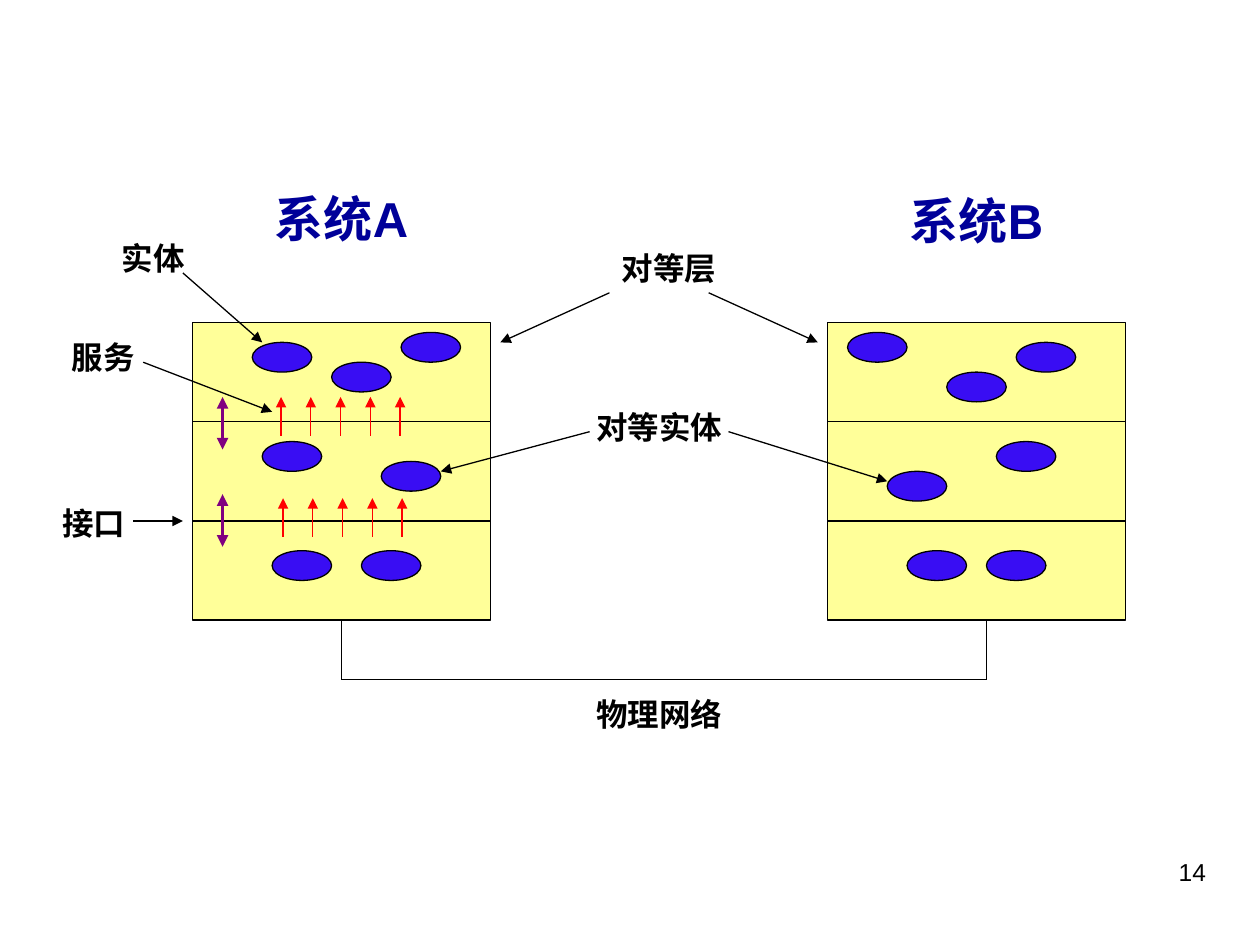
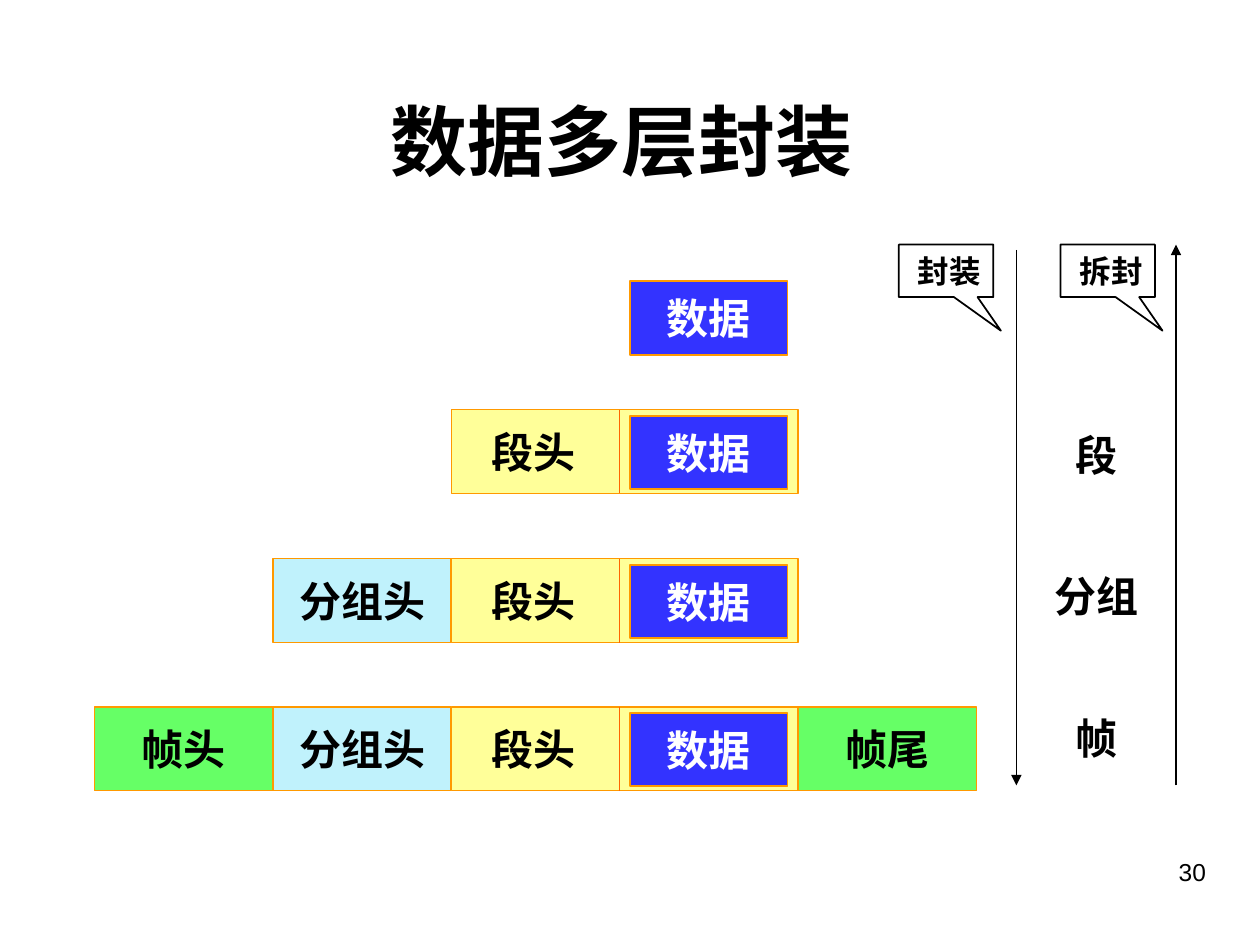
from dataclasses import dataclass
from typing import NamedTuple

from lxml import etree
from pptx import Presentation
from pptx.dml.color import RGBColor
from pptx.enum.shapes import MSO_CONNECTOR, MSO_SHAPE
from pptx.enum.text import MSO_ANCHOR, PP_ALIGN
from pptx.oxml.ns import qn
from pptx.util import Inches, Mm, Pt

RECT, OVAL = MSO_SHAPE.RECTANGLE, MSO_SHAPE.OVAL
CALLOUT = MSO_SHAPE.RECTANGULAR_CALLOUT
STRAIGHT = MSO_CONNECTOR.STRAIGHT
LEFT, CENTER, RIGHT = PP_ALIGN.LEFT, PP_ALIGN.CENTER, PP_ALIGN.RIGHT
TOP, MIDDLE = MSO_ANCHOR.TOP, MSO_ANCHOR.MIDDLE

# Shared look
FONT = "Arial"
BLACK, WHITE, NAVY = "000000", "FFFFFF", "000099"
YELLOW, VIOLET, RED, PURPLE = "FFFF99", "390DF3", "FF0000", "800080"
BLUE, CYAN, GREEN = "3333FF", "C0F2FC", "66FF66"
ORANGE, RUST = "FF9900", "FF6600"


class Grid(NamedTuple):
    """A square grid with its own origin and step."""
    left: int
    top: int
    step: int

    def spot(self, x: float, y: float) -> tuple[int, int]:
        return round(self.left + x * self.step), round(self.top + y * self.step)

    def box(self, x: float, y: float, w: float, h: float) -> tuple[int, ...]:
        return *self.spot(x, y), round(w * self.step), round(h * self.step)


# Slide 1 counts 2 mm steps from the corner of system A, slide 2 twelfths of an inch
STACK = Grid(Inches(1.53), Inches(2.56), Mm(2))
FRAME = Grid(0, 0, Inches(1 / 12))


@dataclass
class Label:
    text: str
    x: float
    y: float
    w: float
    h: float = 5
    size: int = 18
    color: str = BLACK


@dataclass
class Block:
    text: str
    x: float
    w: float
    fill: str
    color: str = BLACK
    dy: float = 0
    h: float = 8
    align: int = CENTER
    inset: float = 0


class Link(NamedTuple):
    x1: float
    y1: float
    x2: float
    y2: float


def rgb(code: str) -> RGBColor:
    return RGBColor.from_string(code)


def style(frame, size: int, color: str = BLACK, align: int = CENTER,
          anchor: int = MIDDLE, bold: bool = True, inset: float = 0) -> None:
    frame.word_wrap = True
    frame.vertical_anchor = anchor
    frame.margin_left = frame.margin_right = Inches(inset)
    for para in frame.paragraphs:
        para.alignment = align
        for run in para.runs:
            font = run.font
            font.name, font.size, font.bold = FONT, Pt(size), bold
            font.color.rgb = rgb(color)


def add_text(slide, box: tuple, text: str, size: int, **look):
    frame = slide.shapes.add_textbox(*box).text_frame
    frame.text = text
    style(frame, size, **look)
    return frame


def add_form(slide, kind: int, box: tuple, fill: str | None,
             edge: str = BLACK, width: float = 0.75):
    form = slide.shapes.add_shape(kind, *box)
    form.shadow.inherit = False
    if fill:
        form.fill.solid()
        form.fill.fore_color.rgb = rgb(fill)
    else:
        form.fill.background()
    form.line.color.rgb = rgb(edge)
    form.line.width = Pt(width)
    return form


def add_link(slide, grid: Grid, link: Link, color: str = BLACK,
             width: float = 0.75, ends: tuple[str, ...] = ()) -> None:
    line = slide.shapes.add_connector(
        STRAIGHT, *grid.spot(link.x1, link.y1), *grid.spot(link.x2, link.y2))
    line.line.color.rgb = rgb(color)
    line.line.width = Pt(width)
    for end in ends:
        etree.SubElement(line.line._get_or_add_ln(), qn(f"a:{end}"), type="triangle")
    etree.SubElement(line._element.spPr, qn("a:effectLst"))


def add_page(slide, number: int) -> None:
    box = Inches(7.17), Inches(6.75), Inches(2.5), Inches(0.52)
    add_text(slide, box, str(number), 14, align=RIGHT, anchor=TOP,
             bold=False, inset=0.1)


HEAD, TAIL = "headEnd", "tailEnd"

# Slide 1: two layered systems
SYSTEMS = {
    0: [(14, 4), (6, 2), (21, 1), (7, 12), (19, 14), (8, 23), (17, 23)],
    64: [(2, 1), (12, 5), (19, 2), (6, 15), (17, 12), (8, 23), (16, 23)],
}
LABELS = [
    Label("系统A", 6, -14, 18, 7, 28, NAVY),
    Label("系统B", 70, -13.8, 18, 7, 28, NAVY),
    Label("实体", -9, -9, 10),
    Label("服务", -14, 1, 10),
    Label("接口", -15, 17.7, 10),
    Label("对等层", 42, -8, 12),
    Label("对等实体", 40, 8, 14),
    Label("物理网络", 40, 37, 14),
]
WIRES = [Link(15, 30, 15, 36), Link(15, 36, 80, 36), Link(80, 36, 80, 30)]
POINTERS = [
    Link(-1, -5, 7, 2), Link(-5, 4, 8, 9), Link(-6, 20, -1, 20),
    Link(42, -3, 31, 2), Link(52, -3, 63, 2),
    Link(40, 11, 25, 15), Link(54, 11, 70, 16),
]
SERVICES = [(8.9, 11.4), (9.1, 21.6)]
PORTS = [Link(3, 12.8, 3, 7.5), Link(3, 22.6, 3, 17.3)]


def draw_stack(deck) -> None:
    slide = deck.slides.add_slide(deck.slide_layouts[6])
    add_page(slide, 14)
    # Layers and their entities
    for left, ovals in SYSTEMS.items():
        for row in range(3):
            add_form(slide, RECT, STACK.box(left, 10 * row, 30, 10), YELLOW)
        for x, y in ovals:
            add_form(slide, OVAL, STACK.box(left + x, y, 6, 3), VIOLET)
    # Network, labels and pointers
    for wire in WIRES:
        add_link(slide, STACK, wire)
    for tag in LABELS:
        add_text(slide, STACK.box(tag.x, tag.y, tag.w, tag.h), tag.text,
                 tag.size, color=tag.color)
    for link in POINTERS:
        add_link(slide, STACK, link, ends=(TAIL,))
    # Services and interfaces
    for left, y in SERVICES:
        for i in range(5):
            x = left + 3 * i
            add_link(slide, STACK, Link(x, y, x, y - 3.9), RED, ends=(TAIL,))
    for port in PORTS:
        add_link(slide, STACK, port, PURPLE, 2.25, (HEAD, TAIL))


# Slide 2: each row wraps the one above
SEGMENT = Block("段头", 43, 33, YELLOW, align=LEFT, inset=0.32)
DATA = Block("数据", 60, 15, BLUE, WHITE, dy=0.6, h=7)
PACKET = Block("分组头", 26, 17, CYAN)
START = Block("帧头", 9, 17, GREEN)
FINISH = Block("帧尾", 76, 17, GREEN)
ROWS = [
    (26.2, [DATA]),
    (39, [SEGMENT, DATA]),
    (53.2, [SEGMENT, DATA, PACKET]),
    (67.3, [START, SEGMENT, DATA, PACKET, FINISH]),
]
FLOWS = [Link(96.8, 23.8, 96.8, 74.8), Link(112, 74.8, 112, 23.3)]
NOTES = [("封装", 85.6), ("拆封", 101)]
UNITS = ["段", "分组", "帧"]


def draw_frame(deck) -> None:
    slide = deck.slides.add_slide(deck.slide_layouts[5])
    add_page(slide, 30)
    title = slide.shapes.title
    title.left, title.top, title.width, title.height = FRAME.box(3.2, 7.2, 112, 12.2)
    title.text_frame.text = "数据多层封装"
    style(title.text_frame, 44)
    # Nested blocks
    for top, blocks in ROWS:
        for block in blocks:
            box = FRAME.box(block.x, top + block.dy, block.w, block.h)
            form = add_form(slide, RECT, box, block.fill, ORANGE, 1)
            form.text_frame.text = block.text
            style(form.text_frame, 24, block.color, block.align, inset=block.inset)
        if SEGMENT in blocks:
            add_link(slide, FRAME, Link(59, top, 59, top + 8), RUST)
    # Directions with callouts
    for flow in FLOWS:
        add_link(slide, FRAME, flow, width=1, ends=(TAIL,))
    for text, x in NOTES:
        note = add_form(slide, CALLOUT, FRAME.box(x, 23.3, 9, 5), None, width=1)
        note.adjustments[0], note.adjustments[1] = 0.58, 1.14
        note.text_frame.text = text
        style(note.text_frame, 18, align=RIGHT, inset=0.1)
    # Unit names
    frame = add_text(slide, FRAME.box(98.8, 40.3, 11.3, 33.2), "\n".join(UNITS),
                     24, anchor=TOP, inset=0.1)
    for para in frame.paragraphs[1:]:
        para.space_before = Pt(52)


def main() -> None:
    deck = Presentation()
    deck.slide_width, deck.slide_height = Inches(10), Inches(7.5)
    draw_stack(deck)
    draw_frame(deck)
    deck.save("out.pptx")


if __name__ == "__main__":
    main()
